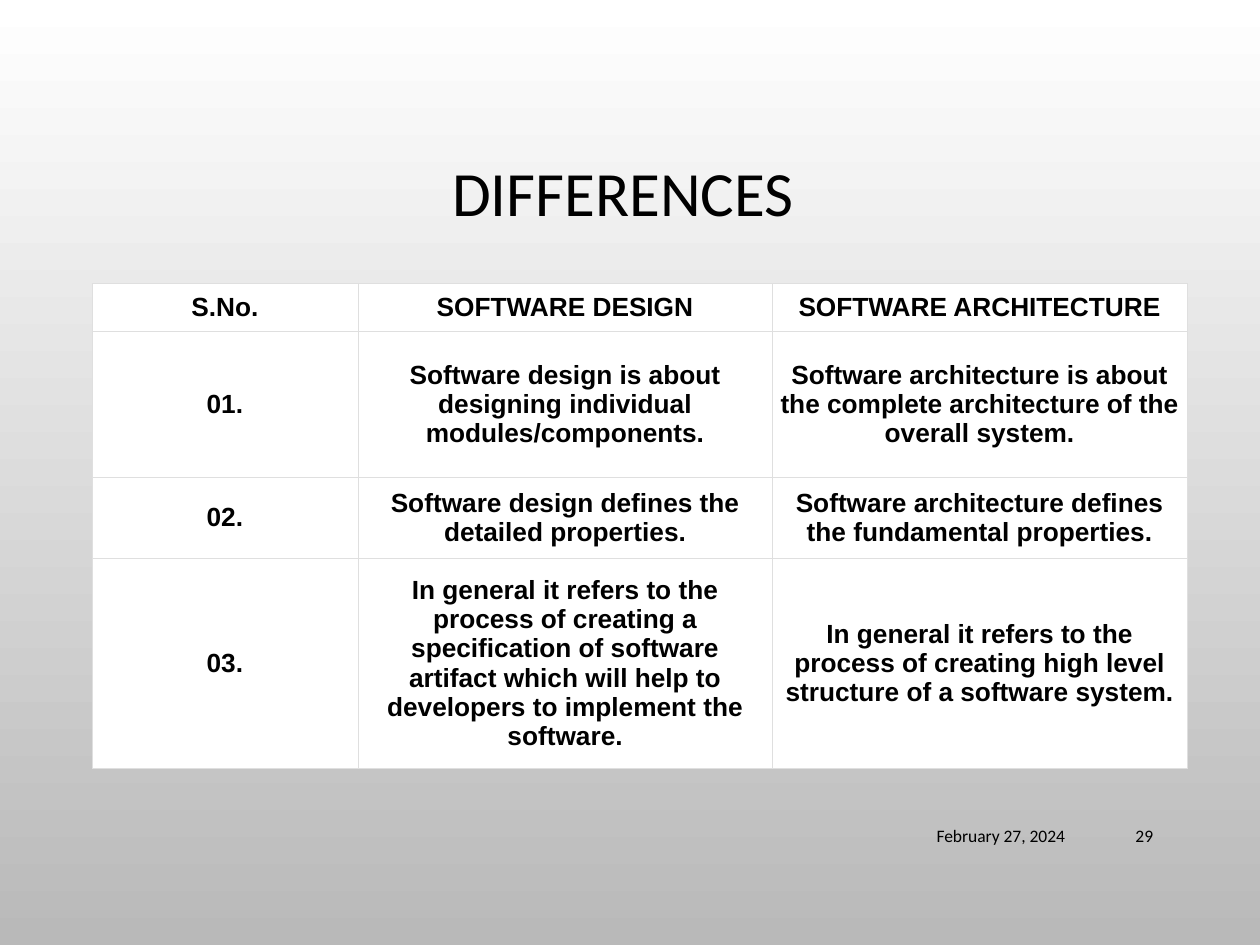
from dataclasses import dataclass

from lxml.etree import SubElement
from pptx import Presentation
from pptx.dml.color import RGBColor
from pptx.enum.text import MSO_ANCHOR, PP_ALIGN
from pptx.oxml.ns import qn
from pptx.slide import Slide
from pptx.table import _Cell as Cell
from pptx.text.text import _Paragraph as Paragraph
from pptx.util import Inches, Pt


@dataclass(frozen=True)
class Theme:
    text: RGBColor = RGBColor(0, 0, 0)
    background_top: RGBColor = RGBColor(0xFF, 0xFF, 0xFF)
    background_bottom: RGBColor = RGBColor(0xB9, 0xB9, 0xB9)
    cell_fill: RGBColor = RGBColor(0xFF, 0xFF, 0xFF)
    border: str = "DFDFDF"
    border_width: Pt = Pt(0.23)
    label_font: str = "Calibri"
    table_font: str = "Arial"
    title_size: float = 36
    footer_size: float = 10
    table_size: float = 15


@dataclass(frozen=True)
class Label:
    text: str
    left: float
    top: float
    width: float
    height: float
    size: float
    align: PP_ALIGN
    line_spacing: float = 1.0


THEME = Theme()

LABELS = [
    Label("DIFFERENCES ", 0.75, 0.68, 8.5, 1.75, THEME.title_size, PP_ALIGN.CENTER, 0.9),
    Label("February 27, 2024", 6.3, 6.43, 2.25, 0.4, THEME.footer_size, PP_ALIGN.RIGHT),
    Label("29", 8.62, 6.43, 0.63, 0.4, THEME.footer_size, PP_ALIGN.RIGHT),
]

COLUMN_WIDTHS = [2.11, 3.29, 3.29]
ROW_HEIGHTS = [0.38, 1.16, 0.64, 1.67]
ROWS = [
    ("S.No.", "SOFTWARE DESIGN", "SOFTWARE ARCHITECTURE"),
    (
        "01.",
        "Software design is about designing individual modules/components.",
        "Software architecture is about the complete architecture of the overall system.",
    ),
    (
        "02.",
        "Software design defines the detailed properties.",
        "Software architecture defines the fundamental properties.",
    ),
    (
        "03.",
        "In general it refers to the process of creating a specification of software "
        "artifact which will help to developers to implement the software.",
        "In general it refers to the process of creating high level structure of a "
        "software system.",
    ),
]


def format_paragraph(
    paragraph: Paragraph, font_name: str, size: float, align: PP_ALIGN, bold: bool = False
) -> None:
    paragraph.alignment = align
    for run in paragraph.runs:
        run.font.name = font_name
        run.font.size = Pt(size)
        run.font.bold = bold
        run.font.color.rgb = THEME.text


def fill_background(slide: Slide) -> None:
    fill = slide.background.fill
    fill.gradient()
    fill.gradient_angle = 270
    colors = (THEME.background_top, THEME.background_bottom)
    for position, (stop, color) in enumerate(zip(fill.gradient_stops, colors)):
        stop.position = position
        stop.color.rgb = color


def add_label(slide: Slide, label: Label) -> None:
    box = slide.shapes.add_textbox(
        Inches(label.left), Inches(label.top), Inches(label.width), Inches(label.height)
    )
    text_frame = box.text_frame
    text_frame.word_wrap = True
    text_frame.vertical_anchor = MSO_ANCHOR.MIDDLE
    text_frame.text = label.text
    paragraph = text_frame.paragraphs[0]
    paragraph.line_spacing = label.line_spacing
    format_paragraph(paragraph, THEME.label_font, label.size, label.align)


def set_borders(cell: Cell) -> None:
    """Draw the same thin line on all four sides; lines must precede the fill."""
    properties = cell._tc.get_or_add_tcPr()
    for side in ("a:lnL", "a:lnR", "a:lnT", "a:lnB"):
        line = SubElement(properties, qn(side), w=str(int(THEME.border_width)))
        SubElement(SubElement(line, qn("a:solidFill")), qn("a:srgbClr"), val=THEME.border)


def format_cell(cell: Cell, text: str, side_margin: float) -> None:
    cell.text_frame.text = text
    cell.vertical_anchor = MSO_ANCHOR.MIDDLE
    cell.margin_left = cell.margin_right = Inches(side_margin)
    cell.margin_top = cell.margin_bottom = Inches(0.06)
    set_borders(cell)
    cell.fill.solid()
    cell.fill.fore_color.rgb = THEME.cell_fill
    format_paragraph(
        cell.text_frame.paragraphs[0],
        THEME.table_font,
        THEME.table_size,
        PP_ALIGN.CENTER,
        bold=True,
    )


def add_comparison_table(slide: Slide) -> None:
    table = slide.shapes.add_table(
        len(ROW_HEIGHTS),
        len(COLUMN_WIDTHS),
        Inches(0.73),
        Inches(2.25),
        Inches(sum(COLUMN_WIDTHS)),
        Inches(sum(ROW_HEIGHTS)),
    ).table
    table.horz_banding = False
    table.first_row = False
    for column, width in zip(table.columns, COLUMN_WIDTHS):
        column.width = Inches(width)
    for row, height, texts in zip(table.rows, ROW_HEIGHTS, ROWS):
        row.height = Inches(height)
        for index, (cell, text) in enumerate(zip(row.cells, texts)):
            format_cell(cell, text, side_margin=0.03 if index == 0 else 0.06)


def main() -> None:
    presentation = Presentation()
    presentation.slide_width = Inches(10)
    presentation.slide_height = Inches(7.5)
    slide = presentation.slides.add_slide(presentation.slide_layouts[6])
    fill_background(slide)
    for label in LABELS:
        add_label(slide, label)
    add_comparison_table(slide)
    presentation.save("out.pptx")


if __name__ == "__main__":
    main()
